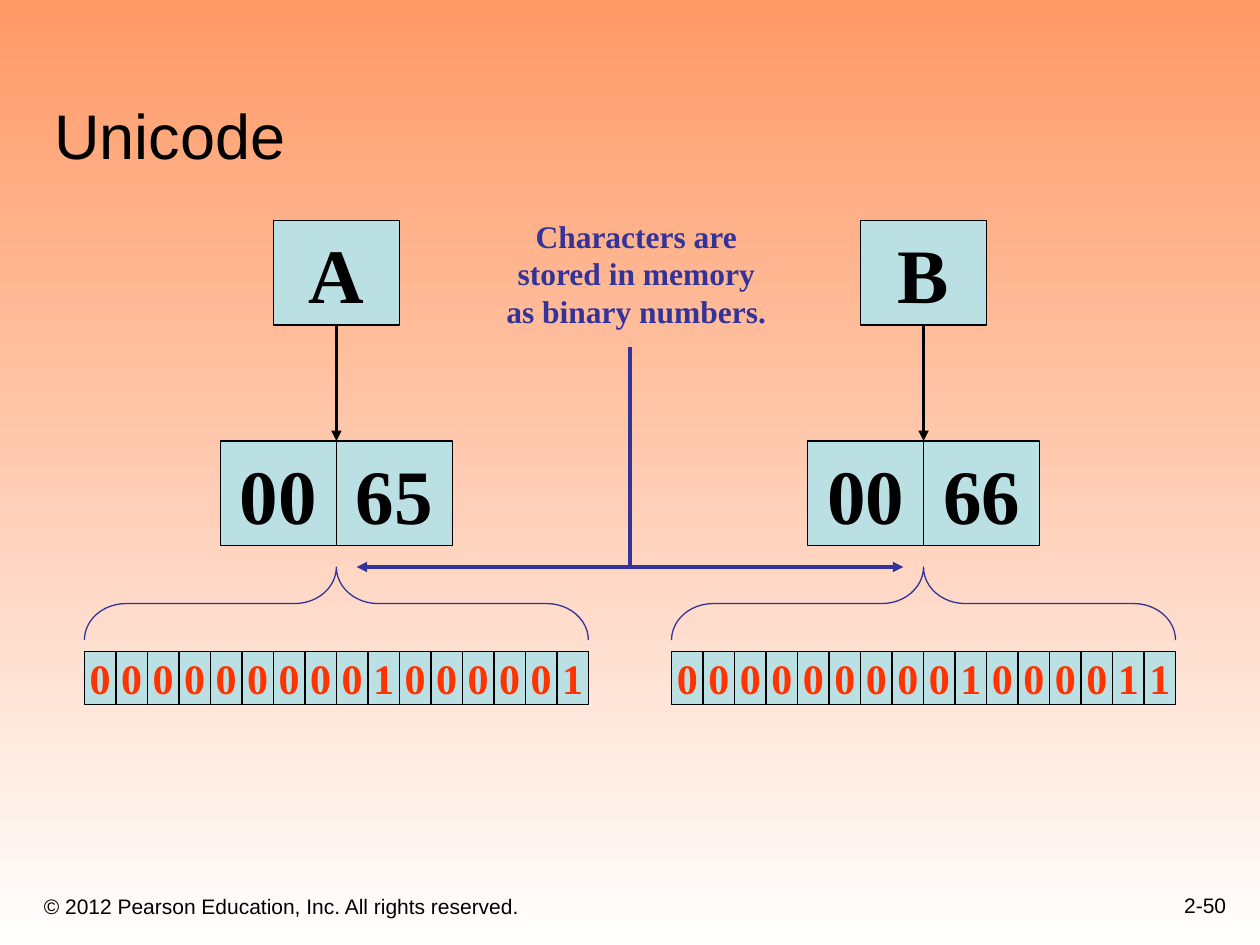
"""Build a slide that shows how Unicode characters are stored as binary numbers."""
from lxml import etree
from pptx import Presentation, util as u
from pptx.dml import color
from pptx.enum import shapes, text
from pptx.oxml import ns

TITLE = "Unicode"
COPYRIGHT = "© 2012 Pearson Education, Inc. All rights reserved."
PAGE = "2-50"
NOTE = [["Characters are"], ["stored in memory", "as binary numbers."]]
CHARACTERS = [
    {"letter": "A", "bytes": ["00", "65"], "bits": "0000000001000001", "center": 2.67},
    {"letter": "B", "bytes": ["00", "66"], "bits": "0000000001000011", "center": 7.33},
]
BLACK, INDIGO, RED, PALE_BLUE = "000000", "333399", "FF3300", "BBE0E3"
SANS, SERIF = "Arial", "Times New Roman"
LETTER_TOP, BYTE_TOP, BRACE_TOP, BIT_TOP = 1.75, 3.5, 4.5, 5.17
LETTER_WIDTH, BYTE_WIDTH, BIT_WIDTH = 1, 0.92, 0.25
BOX_HEIGHT, BIT_HEIGHT, BRACE_HEIGHT = 0.83, 0.42, 0.58
ALIGN, ANCHOR = text.PP_ALIGN, text.MSO_ANCHOR


def rgb(code):
    return color.RGBColor.from_string(code)


def add_run(paragraph, words, size, face, tint, bold=False):
    run = paragraph.add_run()
    run.text = words
    run.font.size, run.font.name, run.font.bold = u.Pt(size), face, bold
    run.font.color.rgb = rgb(tint)


def set_frame(frame, anchor, wrap):
    frame.auto_size = text.MSO_AUTO_SIZE.NONE
    frame.vertical_anchor, frame.word_wrap = anchor, wrap


def add_label(slide, words, place, align):
    frame = slide.shapes.add_textbox(*map(u.Inches, place)).text_frame
    set_frame(frame, ANCHOR.BOTTOM, True)
    frame.paragraphs[0].alignment = align
    add_run(frame.paragraphs[0], words, 12, SANS, BLACK)


def add_cell(slide, words, place, size, tint):
    cell = slide.shapes.add_shape(shapes.MSO_SHAPE.RECTANGLE, *map(u.Inches, place))
    cell.shadow.inherit = False
    cell.fill.solid()
    cell.fill.fore_color.rgb = rgb(PALE_BLUE)
    cell.line.color.rgb, cell.line.width = rgb(BLACK), u.Pt(0.75)
    set_frame(cell.text_frame, ANCHOR.MIDDLE, False)
    paragraph = cell.text_frame.paragraphs[0]
    paragraph.alignment = ALIGN.CENTER
    add_run(paragraph, words, size, SERIF, tint, True)


def add_row(slide, items, center, top, width, height, size, tint):
    left = center - len(items) * width / 2
    for index, item in enumerate(items):
        add_cell(slide, item, (left + index * width, top, width, height), size, tint)


def add_line(slide, ends, tint, weight, arrows=()):
    line = slide.shapes.add_connector(shapes.MSO_CONNECTOR.STRAIGHT, *map(u.Inches, ends))
    line.line.color.rgb, line.line.width = rgb(tint), u.Pt(weight)
    for arrow in arrows:
        etree.SubElement(line.line._get_or_add_ln(), ns.qn(f"a:{arrow}"), type="triangle")
    etree.SubElement(line._element.spPr, ns.qn("a:effectLst"))


def add_brace(slide, center, width):
    left = center - BRACE_HEIGHT / 2
    top = BRACE_TOP + BRACE_HEIGHT / 2 - width / 2
    brace = slide.shapes.add_shape(
        shapes.MSO_SHAPE.RIGHT_BRACE, *map(u.Inches, (left, top, BRACE_HEIGHT, width)))
    brace.rotation = 270
    brace.adjustments[0] = 0.57
    brace.shadow.inherit = False
    brace.fill.background()
    brace.line.color.rgb, brace.line.width = rgb(INDIGO), u.Pt(0.75)


def add_note(slide):
    frame = slide.shapes.add_textbox(*map(u.Inches, (3.92, 1.67, 2.26, 1))).text_frame
    set_frame(frame, ANCHOR.TOP, False)
    for index, lines in enumerate(NOTE):
        paragraph = frame.add_paragraph() if index else frame.paragraphs[0]
        paragraph.alignment = ALIGN.CENTER
        for number, words in enumerate(lines):
            if number:
                paragraph.add_line_break()
            add_run(paragraph, words, 18, SERIF, INDIGO, True)


def add_title(slide):
    title = slide.shapes.title
    title.left, title.top, title.width, title.height = map(u.Inches, (0.33, 0.33, 9.42, 1.09))
    set_frame(title.text_frame, ANCHOR.BOTTOM, True)
    title.text_frame.paragraphs[0].alignment = ALIGN.LEFT
    add_run(title.text_frame.paragraphs[0], TITLE, 36, SANS, BLACK)


def paint_background(slide):
    fill = slide.background.fill
    fill.gradient()
    fill.gradient_angle = 270
    for stop, position, tint in zip(fill.gradient_stops, (0, 1), ("FF9966", "FFFFFF")):
        stop.position, stop.color.rgb = position, rgb(tint)


def main():
    deck = Presentation()
    deck.slide_width, deck.slide_height = u.Inches(10), u.Inches(7.5)
    slide = deck.slides.add_slide(deck.slide_layouts[5])
    paint_background(slide)
    add_label(slide, COPYRIGHT, (0.25, 6.92, 6.08, 0.42), ALIGN.LEFT)
    add_label(slide, PAGE, (7.75, 6.83, 2.08, 0.5), ALIGN.RIGHT)
    add_title(slide)
    for character in CHARACTERS:
        center, bits = character["center"], character["bits"]
        add_row(slide, character["letter"], center, LETTER_TOP, LETTER_WIDTH, BOX_HEIGHT, 44, BLACK)
        add_row(slide, character["bytes"], center, BYTE_TOP, BYTE_WIDTH, BOX_HEIGHT, 44, BLACK)
        add_line(slide, (center, LETTER_TOP + BOX_HEIGHT, center, BYTE_TOP), BLACK, 1.5, ["tailEnd"])
        add_row(slide, bits, center, BIT_TOP, BIT_WIDTH, BIT_HEIGHT, 24, RED)
        add_brace(slide, center, len(bits) * BIT_WIDTH)
    add_note(slide)
    add_line(slide, (5, 2.75, 5, BRACE_TOP), INDIGO, 2)
    add_line(slide, (2.83, BRACE_TOP, 7.17, BRACE_TOP), INDIGO, 2, ["headEnd", "tailEnd"])
    deck.save("out.pptx")


if __name__ == "__main__":
    main()
